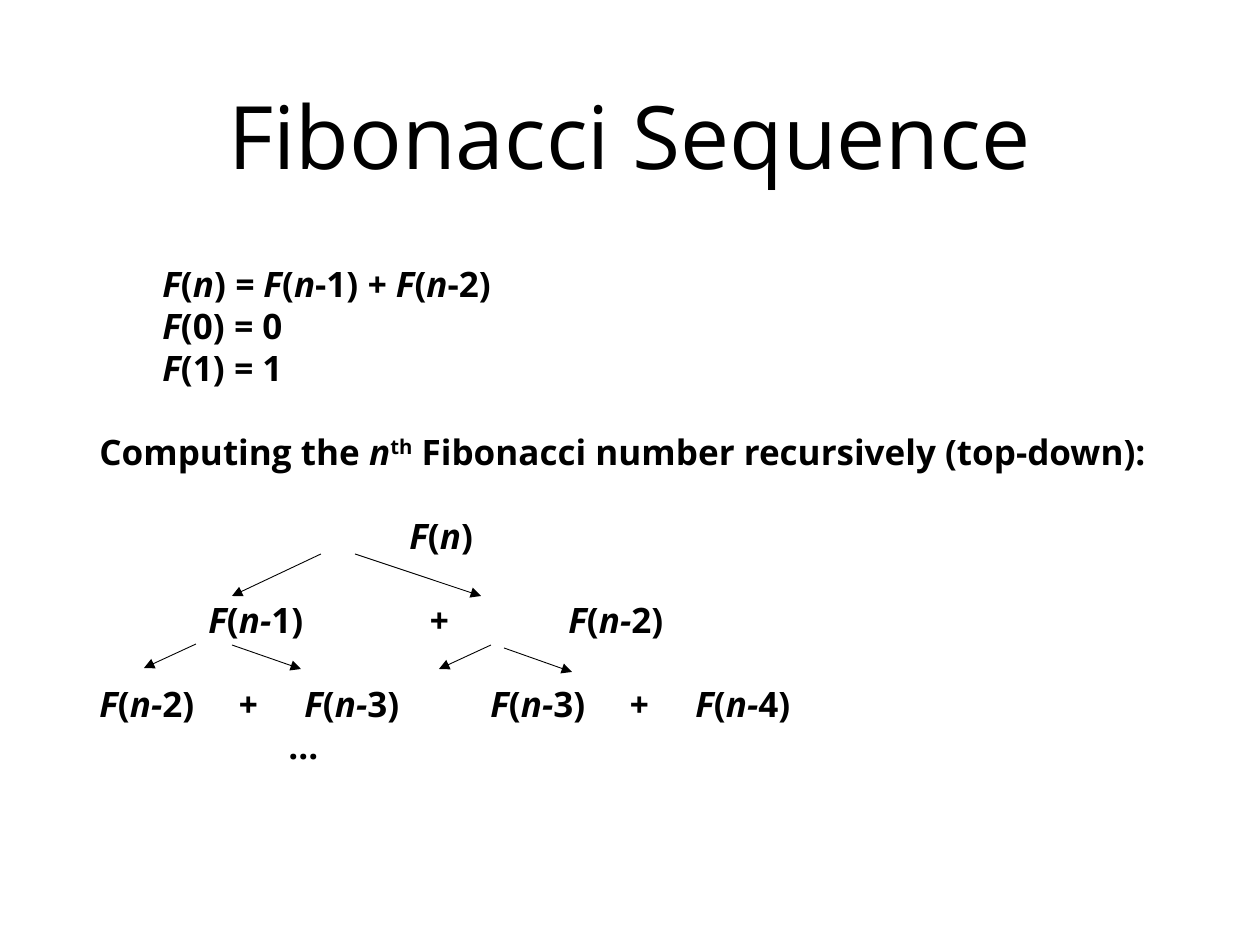
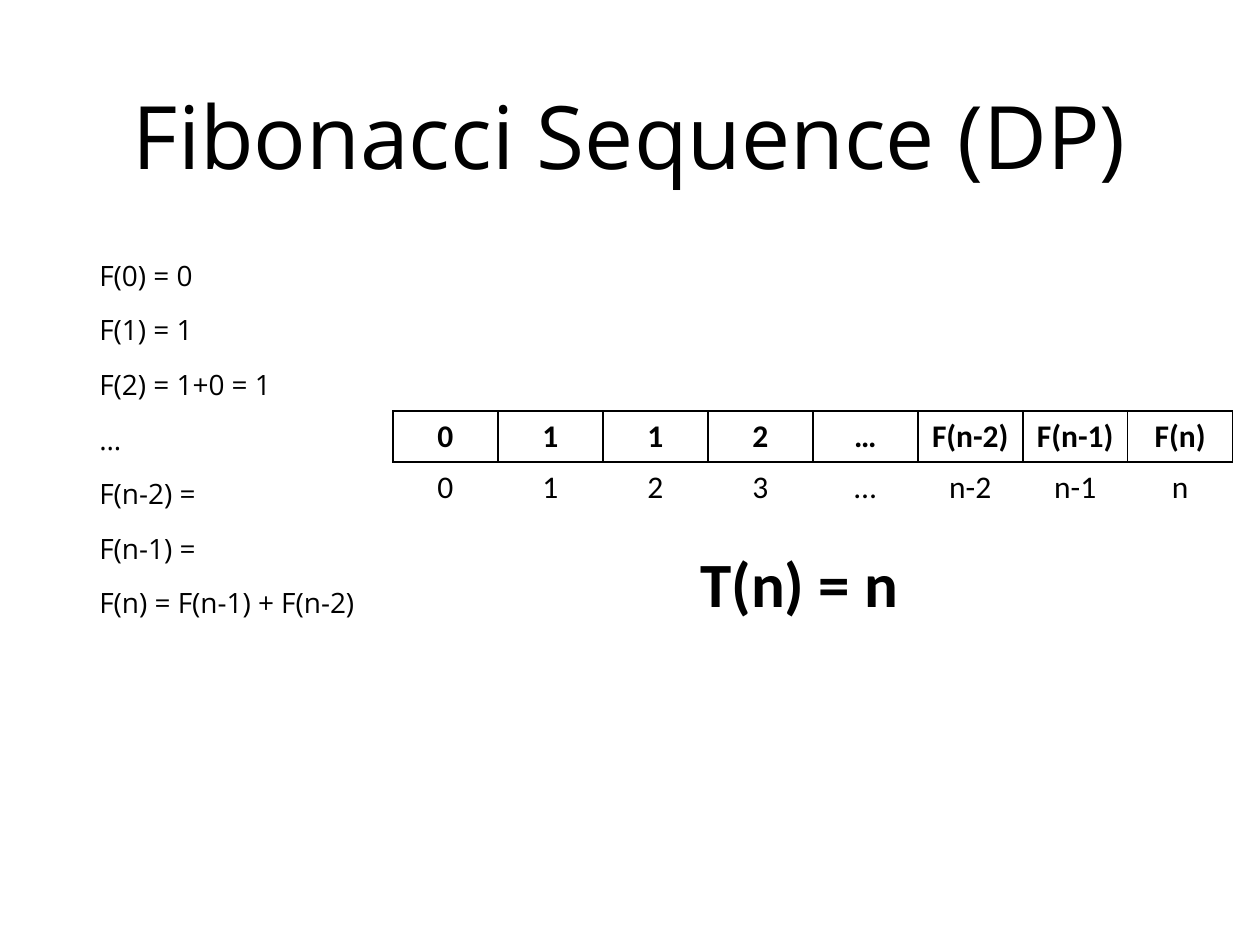
from dataclasses import dataclass

from lxml import etree
from pptx import Presentation
from pptx.dml.color import RGBColor
from pptx.enum.shapes import MSO_CONNECTOR
from pptx.enum.text import MSO_ANCHOR, PP_ALIGN
from pptx.oxml.ns import qn
from pptx.util import Emu, Pt

STRAIGHT = MSO_CONNECTOR.STRAIGHT
LEFT, CENTER = PP_ALIGN.LEFT, PP_ALIGN.CENTER
TOP, MIDDLE = MSO_ANCHOR.TOP, MSO_ANCHOR.MIDDLE

EMU_PER_PX = 914400 / 126
COLORS = {"ink": "000000", "paper": "FFFFFF"}
HEADING_FONT, TABLE_FONT = "Open Sans", "Calibri"
LINE_GAP = 24  # points, one empty line of the 20 pt text


@dataclass(frozen=True)
class Box:
    left: int
    top: int
    width: int
    height: int


@dataclass(frozen=True)
class Line:
    """A paragraph: *...* is italic, ^...^ is superscript, tabs are in px."""
    text: str
    before: int = 0
    indent: int = 0
    tabs: tuple[int, ...] = ()


@dataclass(frozen=True)
class Arrow:
    x1: int
    y1: int
    x2: int
    y2: int


TITLE_BOX = Box(87, 50, 1086, 183)
RECURSION_BOX = Box(87, 256, 1086, 522)
VALUES_BOX = Box(87, 252, 1086, 600)
TABLE_BOX = Box(393, 411, 840, 102)
COST_BOX = Box(688, 538, 226, 89)

RECURSION_LINES = [
    Line("*F*(*n*)* = F*(*n*-1)* + F*(*n*-2)", indent=63),
    Line("*F*(0)* = *0", indent=63),
    Line("*F*(1)* = *1", indent=63),
    Line("Computing the *n*^th^ Fibonacci number recursively (top-down):", LINE_GAP),
    Line("\t*F*(*n*)", LINE_GAP, tabs=(310,)),
    Line("\t*F*(*n-*1)\t*+\tF*(*n-*2)", LINE_GAP, tabs=(109, 330, 469)),
    Line("*F*(*n-*2)\t*+\tF*(*n-*3)\t*F*(*n-*3)\t*+\tF*(*n-*4)", LINE_GAP,
         tabs=(139, 205, 391, 530, 596)),
    Line("\t...", tabs=(189,)),
]
TREE_ARROWS = [
    Arrow(321, 554, 232, 596), Arrow(355, 554, 481, 596),
    Arrow(196, 644, 144, 668), Arrow(232, 645, 301, 669),
    Arrow(491, 645, 439, 669), Arrow(504, 648, 572, 672),
]
VALUE_LINES = ["F(0) = 0", "F(1) = 1", "F(2) = 1+0 = 1", "…", "F(n-2) =",
               "F(n-1) =", "F(n) = F(n-1) + F(n-2)"]
MEMO_ROWS = [
    ["0", "1", "1", "2", "…", "F(n-2)", "F(n-1)", "F(n)"],
    ["0", "1", "2", "3", "…", "n-2", "n-1", "n"],
]


def px(length: float) -> Emu:
    return Emu(round(length * EMU_PER_PX))


def place(box: Box) -> tuple[Emu, Emu, Emu, Emu]:
    return px(box.left), px(box.top), px(box.width), px(box.height)


def color(name: str) -> RGBColor:
    return RGBColor.from_string(COLORS[name])


def add_span(para, text: str, *, size: int, font: str = HEADING_FONT,
             bold: bool = False, italic: bool = False, raised: bool = False) -> None:
    span = para.add_run()
    span.text = text
    span.font.size, span.font.name = Pt(size), font
    span.font.bold, span.font.italic = bold, italic
    span.font.color.rgb = color("ink")
    if raised:
        span._r.get_or_add_rPr().set("baseline", "30000")


def add_marked_text(para, text: str, **style) -> None:
    for i, part in enumerate(text.split("*")):
        for j, piece in enumerate(part.split("^")):
            if piece:
                add_span(para, piece, italic=i % 2 == 1, raised=j % 2 == 1, **style)


def add_text(page, box: Box, lines: list[Line], *, align=LEFT, anchor=TOP,
             wrap: bool = True, spacing: float | None = None, after: int = 0,
             **style) -> None:
    frame = page.shapes.add_textbox(*place(box)).text_frame
    frame.word_wrap, frame.vertical_anchor = wrap, anchor
    for i, line in enumerate(lines):
        para = frame.add_paragraph() if i else frame.paragraphs[0]
        para.alignment, para.line_spacing = align, spacing
        para.space_before, para.space_after = Pt(line.before), Pt(after)
        properties = para._p.get_or_add_pPr()
        if line.indent:
            properties.set("marL", str(px(line.indent)))
        if line.tabs:
            stops = etree.SubElement(properties, qn("a:tabLst"))
            for stop in line.tabs:
                etree.SubElement(stops, qn("a:tab"), pos=str(px(stop)), algn="l")
        add_marked_text(para, line.text, **style)


def add_page(deck, title: str):
    page = deck.slides.add_slide(deck.slide_layouts[6])
    page.background.fill.solid()
    page.background.fill.fore_color.rgb = color("paper")
    add_text(page, TITLE_BOX, [Line(title)], align=CENTER, anchor=MIDDLE,
             spacing=0.9, size=50)
    return page


def add_arrow(page, arrow: Arrow) -> None:
    connector = page.shapes.add_connector(
        STRAIGHT, px(arrow.x1), px(arrow.y1), px(arrow.x2), px(arrow.y2))
    connector.line.color.rgb = color("ink")
    connector.line.width = Pt(0.5)
    etree.SubElement(connector.line._get_or_add_ln(), qn("a:tailEnd"), type="triangle")
    etree.SubElement(connector._element.spPr, qn("a:effectLst"))


def set_borders(cell, visible: str) -> None:
    properties = cell._tc.get_or_add_tcPr()
    for side in "LRTB":
        border = etree.SubElement(properties, qn(f"a:ln{side}"), w=str(Pt(1)))
        if side in visible:
            fill = etree.SubElement(border, qn("a:solidFill"))
            etree.SubElement(fill, qn("a:srgbClr"), val=COLORS["ink"])
        else:
            etree.SubElement(border, qn("a:noFill"))


def add_memo_table(page) -> None:
    rows, columns = len(MEMO_ROWS), len(MEMO_ROWS[0])
    table = page.shapes.add_table(rows, columns, *place(TABLE_BOX)).table
    table.first_row = table.horz_banding = False
    for i, texts in enumerate(MEMO_ROWS):
        for j, text in enumerate(texts):
            cell = table.cell(i, j)
            set_borders(cell, "T" if i else "LRTB")
            cell.fill.background()
            para = cell.text_frame.paragraphs[0]
            para.alignment = CENTER
            add_span(para, text, size=18, font=TABLE_FONT, bold=i == 0)


def build_recursion_page(deck) -> None:
    page = add_page(deck, "Fibonacci Sequence")
    add_text(page, RECURSION_BOX, RECURSION_LINES, size=20, bold=True)
    # Call tree
    for arrow in TREE_ARROWS:
        add_arrow(page, arrow)


def build_dynamic_page(deck) -> None:
    page = add_page(deck, "Fibonacci Sequence (DP)")
    add_text(page, VALUES_BOX, [Line(text, before=6) for text in VALUE_LINES],
             after=6, size=16)
    # Stored values over their indexes, then the running time
    add_memo_table(page)
    add_text(page, COST_BOX, [Line("T(n) = n")], wrap=False,
             size=36, font=TABLE_FONT, bold=True)


def main() -> None:
    deck = Presentation()
    deck.slide_width, deck.slide_height = px(1260), px(945)
    build_recursion_page(deck)
    build_dynamic_page(deck)
    deck.save("out.pptx")


if __name__ == "__main__":
    main()
